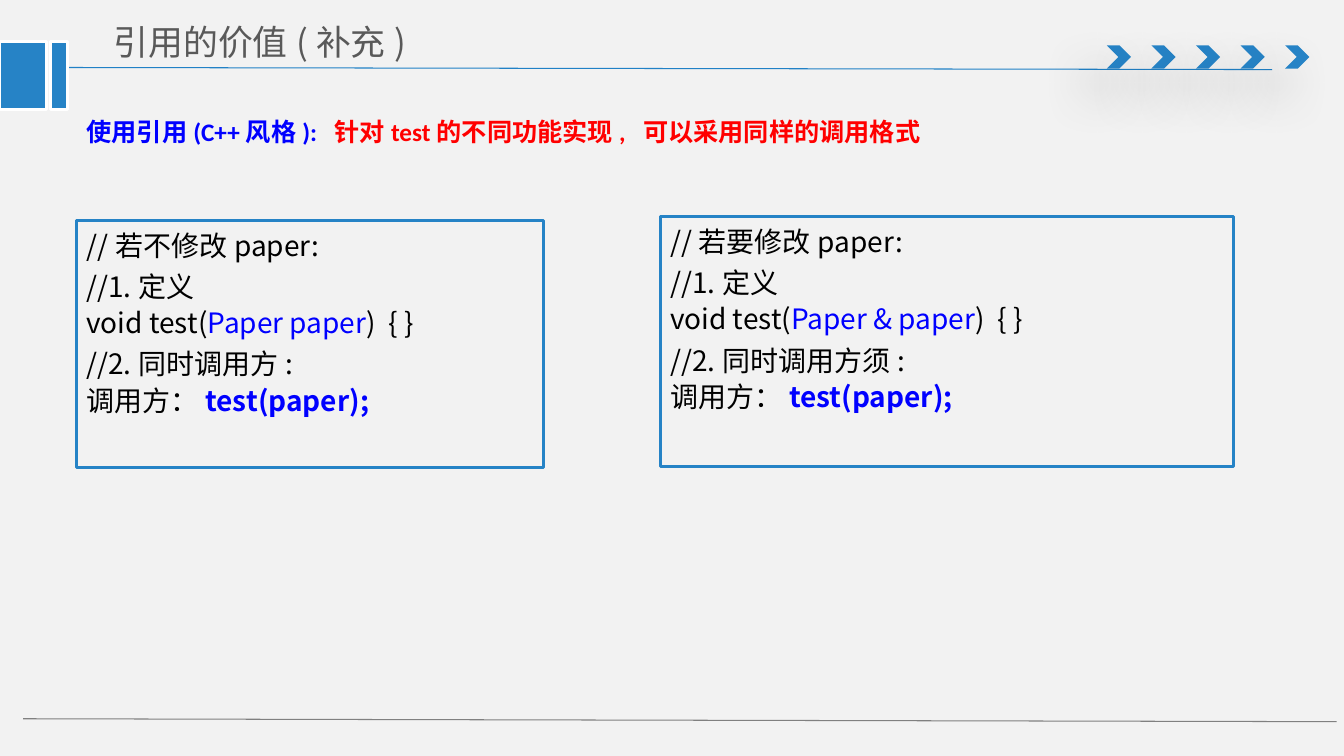
from dataclasses import dataclass

from lxml import etree
from pptx import Presentation
from pptx.dml.color import RGBColor
from pptx.enum.shapes import MSO_CONNECTOR as Connector, MSO_SHAPE as Shape
from pptx.enum.text import MSO_ANCHOR as Anchor, PP_ALIGN as Align
from pptx.oxml.ns import qn
from pptx.util import Pt


@dataclass(frozen=True)
class Theme:
    background: str = "F2F2F2"
    accent: str = "2683C6"
    rule: str = "2181C6"
    footer: str = "808080"
    white: str = "FFFFFF"
    title: str = "595959"
    code: str = "000000"
    blue: str = "0000FF"
    red: str = "FF0000"
    cjk: str = "Noto Sans CJK SC"
    latin: str = "Calibri"
    title_size: float = 24.9
    lead_size: float = 18
    code_size: float = 20


THEME = Theme()


def rgb(value):
    return RGBColor.from_string(value)


def add_text(paragraph, text, size=THEME.code_size, color=THEME.code,
             font=THEME.cjk, bold=False):
    """Append text to the paragraph; a newline becomes a line break."""
    for index, line in enumerate(text.split("\n")):
        if index:
            paragraph.add_line_break()
        run = paragraph.add_run()
        run.text = line
        run.font.size = Pt(size)
        run.font.bold = bold
        run.font.color.rgb = rgb(color)
        run.font.name = font
        east_asian = etree.SubElement(run.font._element, qn("a:ea"))
        east_asian.set("typeface", THEME.cjk)


def add_box(slide, kind, box, fill=None, line=None, width=0):
    shape = slide.shapes.add_shape(kind, *map(Pt, box))
    shape.shadow.inherit = False
    if fill:
        shape.fill.solid()
        shape.fill.fore_color.rgb = rgb(fill)
    else:
        shape.fill.background()
    if line:
        shape.line.color.rgb = rgb(line)
        shape.line.width = Pt(width)
    else:
        shape.line.fill.background()
    return shape


def add_rule(slide, ends, color):
    rule = slide.shapes.add_connector(Connector.STRAIGHT, *map(Pt, ends))
    rule.line.color.rgb = rgb(color)
    rule.line.width = Pt(0.75)
    etree.SubElement(rule._element.spPr, qn("a:effectLst"))


def add_soft_shadow(shape):
    effects = shape._element.spPr.find(qn("a:effectLst"))
    shadow = etree.SubElement(effects, qn("a:outerShdw"), blurRad=str(Pt(36)),
                              dist=str(Pt(24)), dir=str(130 * 60000),
                              rotWithShape="0")
    color = etree.SubElement(shadow, qn("a:srgbClr"), val="000000")
    etree.SubElement(color, qn("a:alpha"), val="38000")


def add_chevrons(slide, box, count=5):
    left, top, width, height = box
    chevron_width = 17.3
    pitch = (width - chevron_width) / (count - 1)
    for index in range(count):
        chevron = add_box(slide, Shape.CHEVRON,
                          (left + index * pitch, top, chevron_width, height),
                          fill=THEME.accent)
        add_soft_shadow(chevron)


def add_header(slide, box, title_text):
    left, top, width, height = box
    add_rule(slide, (left + 38.2, top + 48.2, left + 908.6, top + 49.7), THEME.rule)
    add_chevrons(slide, (left + 790.6, top + 32.4, 144.7, 16.6))
    for offset, block_width in ((0, 33.1), (36, 12.2)):
        add_box(slide, Shape.RECTANGLE,
                (left + offset, top + 29.5, block_width, height - 29.5),
                fill=THEME.accent, line=THEME.white, width=2)

    title = slide.shapes.title
    title.left, title.top = Pt(left + 71.3), Pt(top + 10.1)
    title.width, title.height = Pt(333.4), Pt(39.6)
    frame = title.text_frame
    frame.margin_left = frame.margin_right = Pt(10)
    frame.margin_top = frame.margin_bottom = Pt(5)
    frame.vertical_anchor = Anchor.MIDDLE
    frame.paragraphs[0].alignment = Align.LEFT
    add_text(frame.paragraphs[0], title_text, size=THEME.title_size, color=THEME.title)


def add_lead(slide, box):
    frame = slide.shapes.add_textbox(*map(Pt, box)).text_frame
    frame.word_wrap = True
    for text, color in (("使用引用(C++风格):  ", THEME.blue),
                        ("针对test的不同功能实现,  可以采用同样的调用格式", THEME.red)):
        add_text(frame.paragraphs[0], text, size=THEME.lead_size, color=color,
                 font=THEME.latin, bold=True)


def add_code_panel(slide, box, heading, parameter, caller):
    panel = add_box(slide, Shape.RECTANGLE, box, line=THEME.accent, width=2.25)
    frame = panel.text_frame
    frame.word_wrap = True
    frame.vertical_anchor = Anchor.TOP
    blue = {"color": THEME.blue}
    paragraphs = (
        ((heading, {}),),
        (("//1.定义\nvoid test(", {}), (parameter, blue), (")  { }", {})),
        ((f"//2.{caller}:\n调用方：", {}), ("test(paper);", {**blue, "bold": True})),
    )
    for index, runs in enumerate(paragraphs):
        paragraph = frame.add_paragraph() if index else frame.paragraphs[0]
        paragraph.alignment = Align.LEFT
        paragraph.line_spacing = 1.08
        if index:
            paragraph.space_before = Pt(3.6)
        for text, style in runs:
            add_text(paragraph, text, **style)


def main():
    presentation = Presentation()
    presentation.slide_width, presentation.slide_height = Pt(960), Pt(540)
    slide = presentation.slides.add_slide(presentation.slide_layouts[5])
    slide.background.fill.solid()
    slide.background.fill.fore_color.rgb = rgb(THEME.background)

    add_header(slide, (0, 0, 960, 78.5), "引用的价值(补充)")
    add_rule(slide, (16.6, 513.4, 954.7, 515.5), THEME.footer)
    add_code_panel(slide, (471.6, 154.8, 409.7, 178.6),
                   "//若要修改paper:", "Paper & paper", "同时调用方须")
    add_lead(slide, (54.7, 79.2, 725, 28.8))
    add_code_panel(slide, (54.7, 157.5, 333.4, 176.2),
                   "//若不修改paper:", "Paper paper", "同时调用方")
    presentation.save("out.pptx")


if __name__ == "__main__":
    main()
